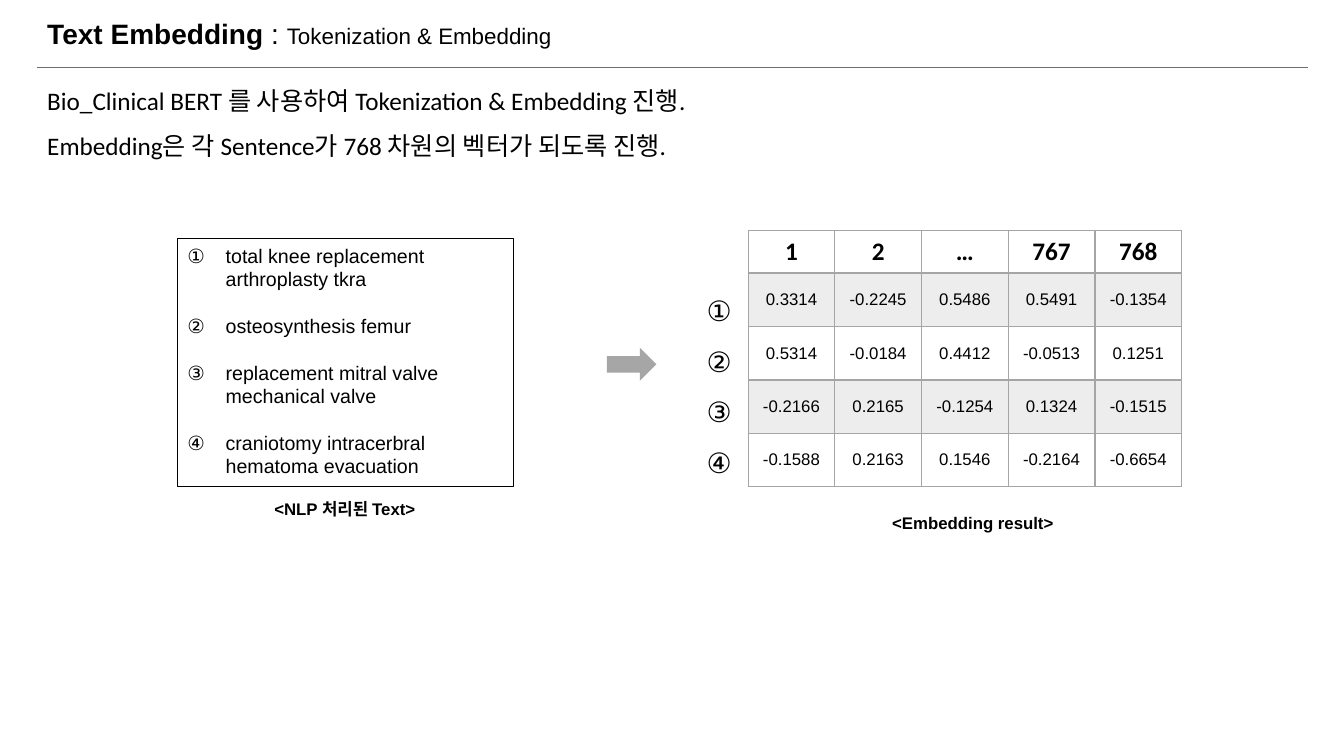
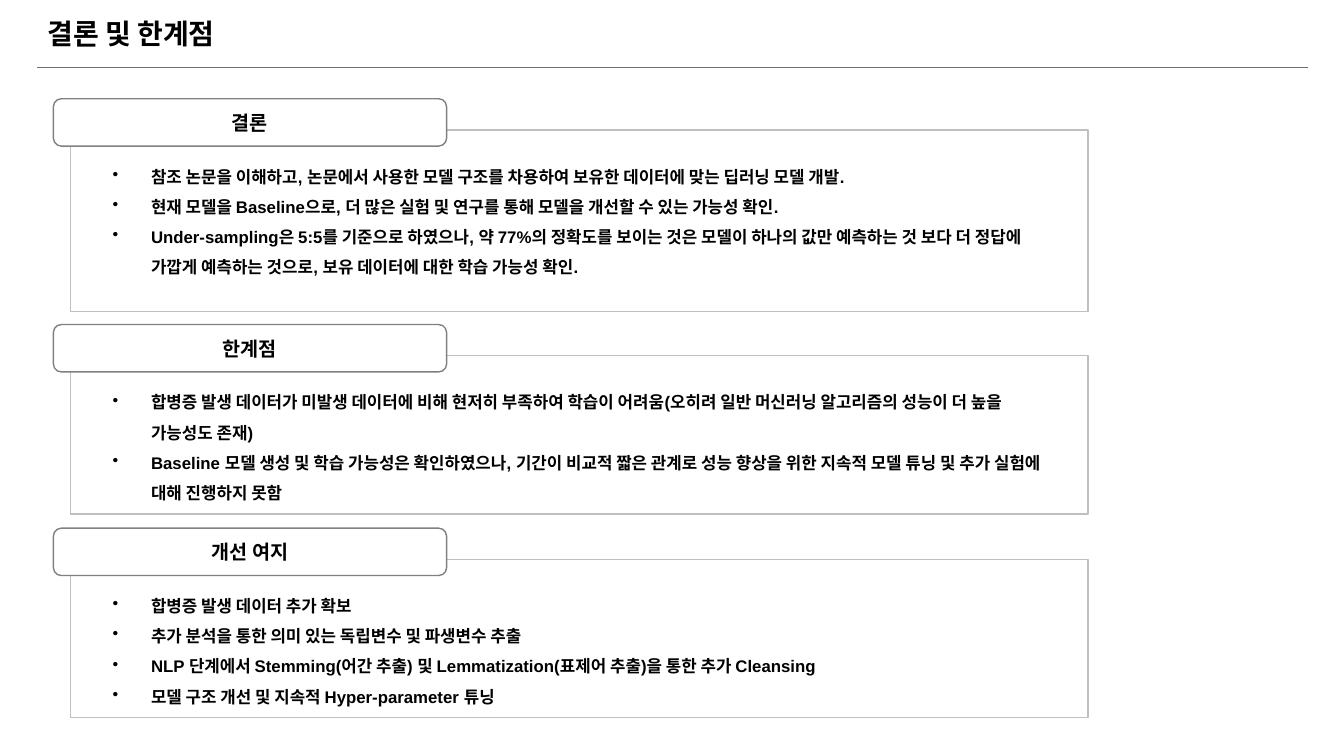
from pptx import Presentation
from pptx.dml.color import RGBColor
from pptx.enum.shapes import MSO_CONNECTOR, MSO_SHAPE
from pptx.enum.text import MSO_ANCHOR, PP_ALIGN
from pptx.oxml.ns import qn
from pptx.util import Pt
from lxml.etree import SubElement

PX = 9144  # EMU per px, 100 px to the inch
COLORS = {
    "text": "000000",
    "page": "FFFFFF",
    "rule": "6E6E6E",
    "arrow": "A6A6A6",
    "grid": "A5A5A5",
    "stripe": "EDEDED",
    "panel": "BFBFBF",
    "tab": "808080",
}
INDENT = 38

SENTENCES = [
    "total knee replacement arthroplasty tkra",
    "osteosynthesis femur",
    "replacement mitral valve mechanical valve",
    "craniotomy intracerbral hematoma evacuation",
]
EMBEDDING = [
    ["1", "2", "…", "767", "768"],
    ["0.3314", "-0.2245", "0.5486", "0.5491", "-0.1354"],
    ["0.5314", "-0.0184", "0.4412", "-0.0513", "0.1251"],
    ["-0.2166", "0.2165", "-0.1254", "0.1324", "-0.1515"],
    ["-0.1588", "0.2163", "0.1546", "-0.2164", "-0.6654"],
]
# heading, top, panel height, points
SECTIONS = [
    ("결론", 98, 180, [
        "참조 논문을 이해하고, 논문에서 사용한 모델 구조를 차용하여 보유한 데이터에 맞는 딥러닝 모델 개발.",
        "현재 모델을 Baseline으로, 더 많은 실험 및 연구를 통해 모델을 개선할 수 있는 가능성 확인.",
        "Under-sampling은 5:5를 기준으로 하였으나, 약 77%의 정확도를 보이는 것은 모델이 하나의 값만 "
        "예측하는 것 보다 더 정답에 가깝게 예측하는 것으로, 보유 데이터에 대한 학습 가능성 확인.",
    ]),
    ("한계점", 322, 157, [
        "합병증 발생 데이터가 미발생 데이터에 비해 현저히 부족하여 학습이 어려움(오히려 일반 머신러닝 "
        "알고리즘의 성능이 더 높을 가능성도 존재)",
        "Baseline 모델 생성 및 학습 가능성은 확인하였으나, 기간이 비교적 짧은 관계로 성능 향상을 위한 "
        "지속적 모델 튜닝 및 추가 실험에 대해 진행하지 못함",
    ]),
    ("개선 여지", 524, 157, [
        "합병증 발생 데이터 추가 확보",
        "추가 분석을 통한 의미 있는 독립변수 및 파생변수 추출",
        "NLP 단계에서 Stemming(어간 추출) 및 Lemmatization(표제어 추출)을 통한 추가 Cleansing",
        "모델 구조 개선 및 지속적 Hyper-parameter 튜닝",
    ]),
]


def rgb(name):
    return RGBColor.from_string(COLORS[name])


def emu(*lengths):
    return [length * PX for length in lengths]


def add_span(para, text, size, font="Arial", bold=False):
    span = para.add_run()
    span.text = text
    span.font.size = Pt(size)
    span.font.name = font
    span.font.bold = bold
    span.font.color.rgb = rgb("text")


def write_paras(frame, texts, size, font="Arial", bold=False, align=PP_ALIGN.LEFT,
                line_spacing=None, before=None, after=None, bullet=None):
    """Fill a text frame; bullet is a (tag, attribute, value) triple."""
    frame.word_wrap = True
    for index, text in enumerate(texts):
        para = frame.add_paragraph() if index else frame.paragraphs[0]
        para.alignment = align
        para.line_spacing = line_spacing
        para.space_before = before
        para.space_after = after
        add_span(para, text, size, font, bold)
        if bullet:
            tag, attribute, value = bullet
            properties = para._p.get_or_add_pPr()
            properties.set("marL", str(INDENT * PX))
            properties.set("indent", str(-INDENT * PX))
            SubElement(properties, qn(tag)).set(attribute, value)


def add_text(page, box, texts, size, **style):
    frame = page.shapes.add_textbox(*emu(*box)).text_frame
    write_paras(frame, texts, size, **style)


def add_block(page, kind, box, fill=None, line=None, width=1):
    shape = page.shapes.add_shape(kind, *emu(*box))
    shape.shadow.inherit = False
    if fill:
        shape.fill.solid()
        shape.fill.fore_color.rgb = rgb(fill)
    else:
        shape.fill.background()
    if line:
        shape.line.color.rgb = rgb(line)
        shape.line.width = Pt(width)
    else:
        shape.line.fill.background()
    return shape


def add_page(deck, title, subtitle=None):
    """Add a blank page with the shared title and rule."""
    page = deck.slides.add_slide(deck.slide_layouts[6])
    rule = page.shapes.add_connector(MSO_CONNECTOR.STRAIGHT, *emu(37, 67, 1297, 67))
    rule.line.color.rgb = rgb("rule")
    rule.line.width = Pt(0.75)
    SubElement(rule._element.spPr, qn("a:effectLst"))
    frame = page.shapes.add_textbox(*emu(37, 10, 1259, 50)).text_frame
    frame.word_wrap = True
    frame.vertical_anchor = MSO_ANCHOR.MIDDLE
    para = frame.paragraphs[0]
    para.line_spacing = 0.9
    add_span(para, title, 20, bold=True)
    if subtitle:
        add_span(para, ": ", 20)
        add_span(para, subtitle, 16)
    return page


def set_borders(cell, widths):
    """Draw the left, right, top and bottom borders, widths in points."""
    properties = cell._tc.get_or_add_tcPr()
    for index, (side, width) in enumerate(zip(("lnL", "lnR", "lnT", "lnB"), widths)):
        border = properties.makeelement(qn("a:" + side), {"w": str(Pt(width))})
        fill = SubElement(border, qn("a:solidFill"))
        SubElement(fill, qn("a:srgbClr")).set("val", COLORS["grid"])
        properties.insert(index, border)


def add_embedding_table(page, left, top, column=86, header=42, row_height=53):
    rows, columns = len(EMBEDDING), len(EMBEDDING[0])
    box = (left, top, column * columns, header + row_height * (rows - 1))
    table = page.shapes.add_table(rows, columns, *emu(*box)).table
    table.first_row = table.horz_banding = False
    for item in table.columns:
        item.width = column * PX
    for index, values in enumerate(EMBEDDING):
        table.rows[index].height = (row_height if index else header) * PX
        style = {} if index else {"font": "Calibri", "bold": True}
        for position, value in enumerate(values):
            cell = table.cell(index, position)
            cell.vertical_anchor = MSO_ANCHOR.MIDDLE
            cell.fill.solid()
            cell.fill.fore_color.rgb = rgb("stripe" if index % 2 else "page")
            write_paras(cell.text_frame, [value], 12 if index else 18,
                        align=PP_ALIGN.CENTER, **style)
            set_borders(cell, (1, 1, 2 if index == 1 else 1, 1 if index else 2))


def add_caption(page, left, top, text):
    add_text(page, (left, top, 274, 30), [text], 12, bold=True, align=PP_ALIGN.CENTER)


def add_sentence_list(page, left, top):
    block = add_block(page, MSO_SHAPE.RECTANGLE, (left, top, 333, 246),
                      line="text", width=0.75)
    block.text_frame.vertical_anchor = MSO_ANCHOR.TOP
    write_paras(block.text_frame, SENTENCES, 14, after=Pt(16.5),
                bullet=("a:buAutoNum", "type", "circleNumDbPlain"))
    add_caption(page, left + 29, top + 253, "<NLP 처리된 Text>")


def add_embedding_result(page, left, top):
    add_embedding_table(page, left + 51, top)
    add_text(page, (left, top + 41, 60, 212), list("①②③④"), 20, line_spacing=1.5)
    add_caption(page, left + 137, top + 275, "<Embedding result>")


def add_section(page, left, top, panel_height, heading, points):
    """Add a panel with bullet points and a heading tab over its top edge."""
    add_block(page, MSO_SHAPE.RECTANGLE, (left + 17, top + 31, 1009, panel_height),
              line="panel")
    add_text(page, (left + 49, top + 52, 946, 131), points, 12, bold=True,
             line_spacing=1.5, bullet=("a:buChar", "char", "•"))
    tab = add_block(page, MSO_SHAPE.ROUNDED_RECTANGLE, (left, top, 390, 47),
                    fill="page", line="tab")
    tab.text_frame.vertical_anchor = MSO_ANCHOR.MIDDLE
    write_paras(tab.text_frame, [heading], 14, font="Calibri", bold=True,
                align=PP_ALIGN.CENTER)


def build_embedding_page(deck):
    page = add_page(deck, "Text Embedding ", "Tokenization & Embedding")
    add_text(page, (37, 80, 1259, 101), [
        "Bio_Clinical BERT 를 사용하여 Tokenization & Embedding 진행.",
        "Embedding은 각 Sentence가 768 차원의 벡터가 되도록 진행.",
    ], 18, font="Calibri", before=Pt(10))
    add_sentence_list(page, 176, 237)
    add_block(page, MSO_SHAPE.RIGHT_ARROW, (602, 345, 49, 33), fill="arrow")
    add_embedding_result(page, 691, 229)


def build_conclusion_page(deck):
    page = add_page(deck, "결론 및 한계점")
    for heading, top, panel_height, points in SECTIONS:
        add_section(page, 53, top, panel_height, heading, points)


def main():
    deck = Presentation()
    deck.slide_width, deck.slide_height = emu(1333, 750)
    build_embedding_page(deck)
    build_conclusion_page(deck)
    deck.save("out.pptx")


if __name__ == "__main__":
    main()
